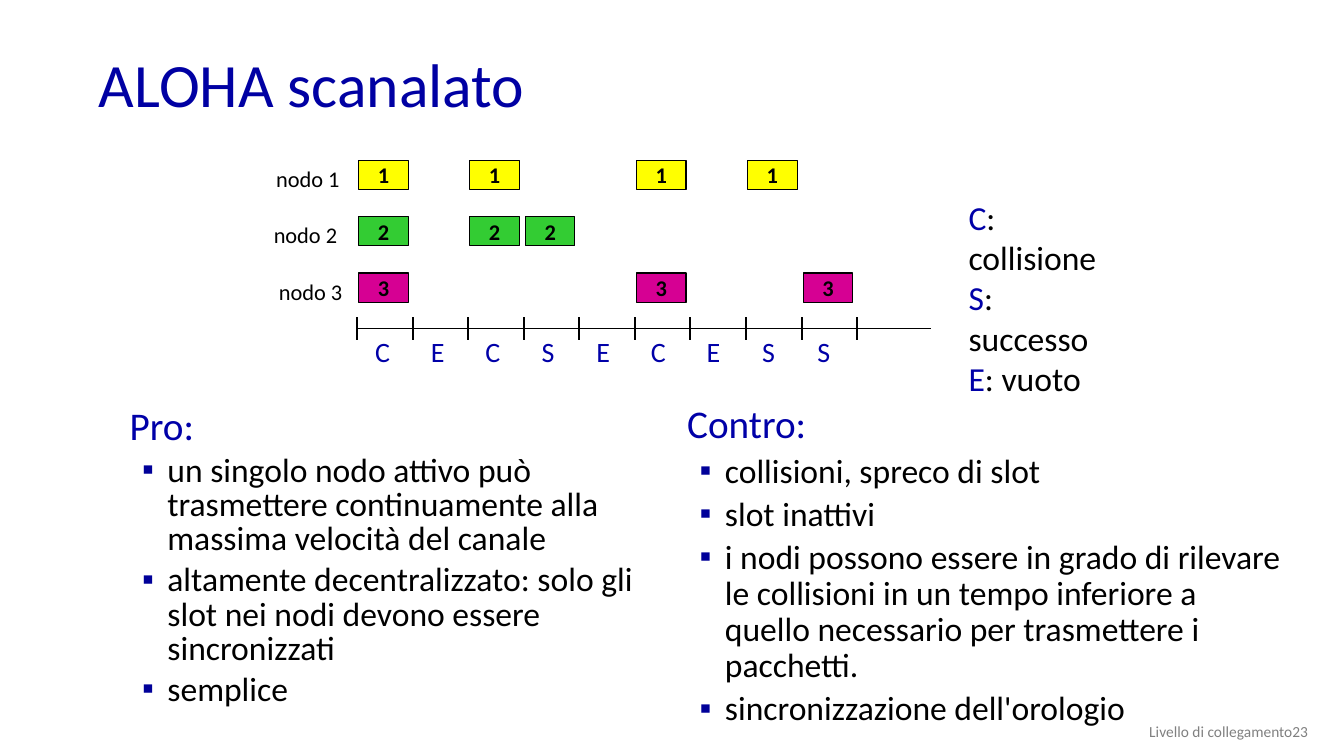
from lxml.etree import SubElement
from pptx import Presentation
from pptx.dml.color import RGBColor as Rgb
from pptx.enum.shapes import MSO_CONNECTOR as Conn, MSO_SHAPE as Kind
from pptx.enum.text import MSO_ANCHOR as Anchor, MSO_AUTO_SIZE as Auto, PP_ALIGN as Align
from pptx.oxml.ns import qn
from pptx.util import Cm, Pt

HUES = {
    "title": "0000A3", "key": "0000A8", "mark": "000099", "text": "000000",
    "foot": "808080", "node1": "FFFF00", "node2": "33CC33", "node3": "D60093",
}
START, SLOT = 9.0, 1.4   # left end and width of the time slots
TOP, ROW = 4.04, 1.42    # first node row and row pitch
AXIS = 8.28
SENT = {1: (0, 2, 5, 7), 2: (0, 2, 3), 3: (0, 5, 8)}
NAMES = {1: 6.71, 2: 6.65, 3: 6.78}
PROS = (
    "un singolo nodo attivo può trasmettere continuamente alla massima velocità del canale",
    "altamente decentralizzato: solo gli slot nei nodi devono essere sincronizzati",
    "semplice",
)
CONS = (
    "collisioni, spreco di slot",
    "slot inattivi",
    "i nodi possono essere in grado di rilevare le collisioni in un tempo inferiore "
    "a quello necessario per trasmettere i pacchetti.",
    "sincronizzazione dell'orologio",
)
LEGEND = {"C": "collisione", "S": "successo", "E": "vuoto"}


def hue(name):
    return Rgb.from_string(HUES[name])


def mark(para):
    """Give the paragraph a hanging square bullet."""
    props = para._p.get_or_add_pPr()
    props.set("marL", str(Cm(0.95)))
    props.set("indent", str(-Cm(0.64)))
    tint = SubElement(props, qn("a:buClr"))
    SubElement(tint, qn("a:srgbClr")).set("val", HUES["mark"])
    SubElement(props, qn("a:buFont")).set("typeface", "Arial")
    SubElement(props, qn("a:buChar")).set("char", "▪")


def write(para, text, size=16, color="text", bold=False, align=Align.LEFT,
          lead=None, before=None):
    """Append a run to the paragraph and format both."""
    para.alignment = align
    if lead:
        para.line_spacing = lead
    if before:
        para.space_before = Pt(before)
    run = para.add_run()
    run.text = text
    font = run.font
    font.name, font.size, font.bold = "Calibri", Pt(size), bold
    font.color.rgb = hue(color)


class Page:
    def __init__(self, deck):
        self.slide = deck.slides.add_slide(deck.slide_layouts[5])
        self.shapes = self.slide.shapes

    def title(self, text, x, y, w, h):
        box = self.shapes.title
        box.left, box.top, box.width, box.height = Cm(x), Cm(y), Cm(w), Cm(h)
        frame = box.text_frame
        frame.auto_size = Auto.NONE
        frame.vertical_anchor = Anchor.MIDDLE
        write(frame.paragraphs[0], text, size=44, color="title", lead=0.9)

    def frame(self, x, y, w, h, wrap=True, anchor=Anchor.TOP):
        box = self.shapes.add_textbox(Cm(x), Cm(y), Cm(w), Cm(h))
        frame = box.text_frame
        frame.word_wrap = wrap
        frame.vertical_anchor = anchor
        return frame

    def label(self, text, x, y, w, h, **style):
        write(self.frame(x, y, w, h, wrap=False).paragraphs[0], text, **style)

    def packet(self, node, slot):
        box = self.shapes.add_shape(
            Kind.RECTANGLE, Cm(START + 0.04 + slot * SLOT),
            Cm(TOP + (node - 1) * ROW), Cm(1.25), Cm(0.74))
        box.shadow.inherit = False
        box.fill.solid()
        box.fill.fore_color.rgb = hue(f"node{node}")
        box.line.color.rgb = hue("text")
        box.line.width = Pt(0.75)
        frame = box.text_frame
        frame.margin_top = frame.margin_bottom = 0
        frame.vertical_anchor = Anchor.MIDDLE
        write(frame.paragraphs[0], str(node), bold=True, align=Align.CENTER)

    def line(self, x1, y1, x2, y2, width):
        line = self.shapes.add_connector(
            Conn.STRAIGHT, Cm(x1), Cm(y1), Cm(x2), Cm(y2))
        line.line.color.rgb = hue("text")
        line.line.width = Pt(width)
        SubElement(line._element.spPr, qn("a:effectLst"))

    def points(self, head, items, x, y, w, h, lead):
        frame = self.frame(x, y, w, h)
        write(frame.paragraphs[0], head, size=28, color="key", lead=lead)
        for item in items:
            para = frame.add_paragraph()
            mark(para)
            write(para, item, size=24, lead=lead, before=4.8)

    def legend(self, terms, x, y, w, h):
        frame = self.frame(x, y, w, h)
        for i, (key, term) in enumerate(terms.items()):
            para = frame.add_paragraph() if i else frame.paragraphs[0]
            write(para, key, size=24, color="key")
            write(para, f": {term}", size=24)


def main():
    deck = Presentation()
    deck.slide_width, deck.slide_height = Cm(33.87), Cm(19.05)
    page = Page(deck)
    page.title("ALOHA scanalato", 2.24, 0.97, 29.21, 2.49)
    page.points("Pro:", PROS, 3.02, 10.16, 13.46, 8.89, lead=0.85)
    page.points("Contro:", CONS, 17.07, 10.08, 15.49, 7.62, lead=0.9)

    for node, slots in SENT.items():
        page.label(f"nodo {node}", NAMES[node], TOP + (node - 1) * ROW, 2.11, 0.94)
        for slot in slots:
            page.packet(node, slot)

    page.line(START, AXIS, 23.47, AXIS, 0.75)
    for i in range(10):
        x = START + i * SLOT
        page.line(x, AXIS - 0.29, x, AXIS + 0.3, 1.5)
    for i, state in enumerate("CECSECESS"):
        page.label(state, 9.2 + i * 1.39, 8.31, 0.88, 1.12,
                   size=20, color="key", align=Align.CENTER)

    page.legend(LEGEND, 24.16, 4.83, 4.22, 3.33)
    foot = page.frame(25.6, 17.91, 7.62, 1.02, anchor=Anchor.MIDDLE)
    write(foot.paragraphs[0], "Livello di collegamento23", size=11,
          color="foot", align=Align.RIGHT)
    deck.save("out.pptx")


if __name__ == "__main__":
    main()
